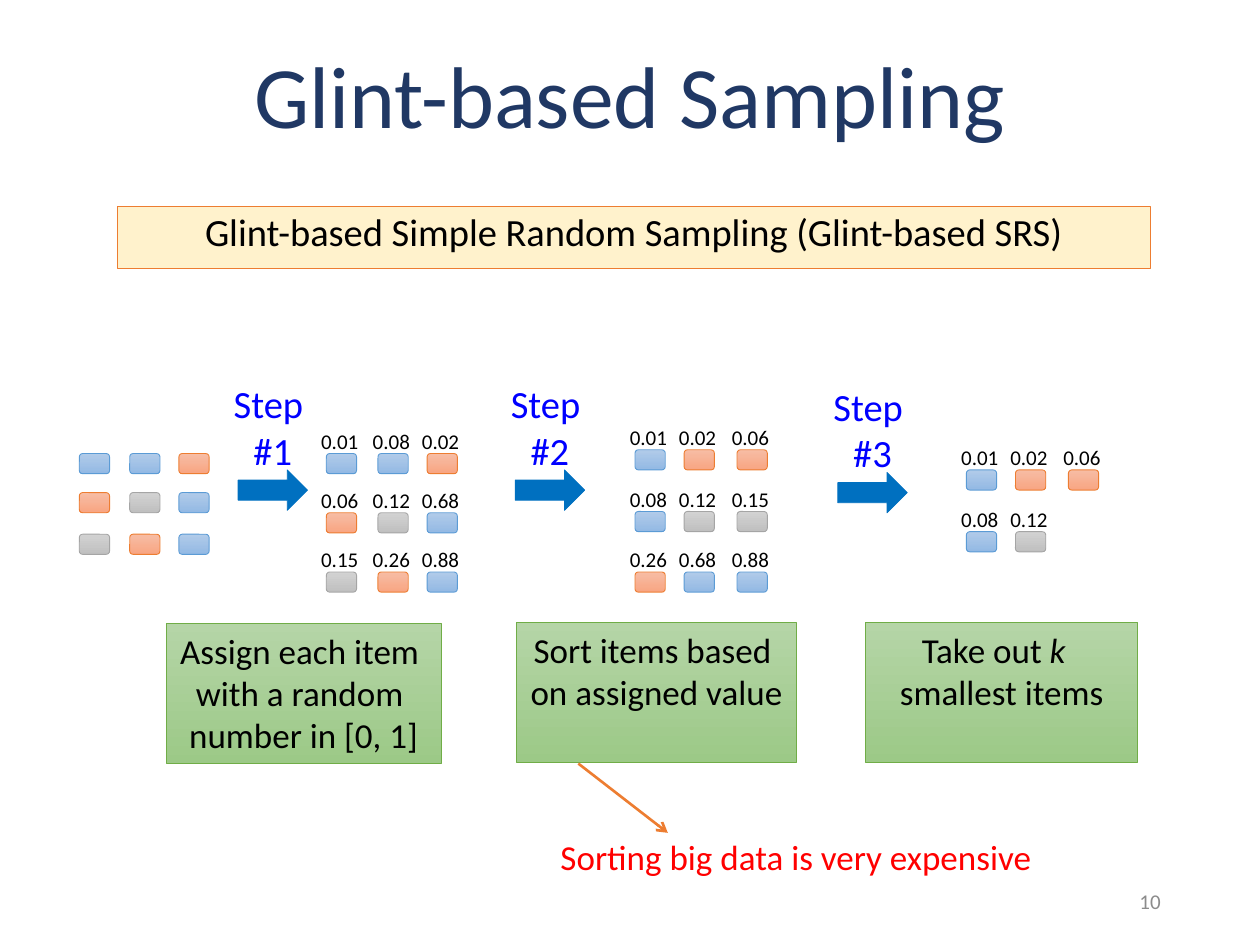
import pptx
import pptx.util
import pptx.dml.color
import pptx.enum.shapes
import pptx.enum.text
import pptx.oxml.ns
import lxml.etree

Inches, Pt = pptx.util.Inches, pptx.util.Pt
RGB = pptx.dml.color.RGBColor
SHAPE = pptx.enum.shapes.MSO_SHAPE
ALIGN = pptx.enum.text.PP_ALIGN
ANCHOR = pptx.enum.text.MSO_ANCHOR

NAVY, BLACK, RED = RGB(0x20, 0x38, 0x64), RGB(0, 0, 0), RGB(0xFF, 0, 0)
STEP_BLUE, ARROW_BLUE = RGB(0, 0, 0xFF), RGB(0, 0x70, 0xC0)
GREY_TEXT, CREAM = RGB(0x8C, 0x8C, 0x8C), RGB(0xFF, 0xF2, 0xCC)
ORANGE_LINE = RGB(0xED, 0x7D, 0x31)
BLUE = (RGB(0xB1, 0xCB, 0xE9), RGB(0x93, 0xB9, 0xE4), RGB(0x5B, 0x9B, 0xD5))
ORANGE = (RGB(0xF7, 0xBD, 0xA5), RGB(0xF8, 0xA5, 0x82), ORANGE_LINE)
GREY = (RGB(0xD2, 0xD2, 0xD2), RGB(0xC0, 0xC0, 0xC0), RGB(0xA5, 0xA5, 0xA5))
GREEN = (RGB(0xB5, 0xD5, 0xA7), RGB(0x9C, 0xC9, 0x87), RGB(0x70, 0xAD, 0x47))

TITLE = "Glint-based Sampling"
BANNER = "Glint-based Simple Random Sampling (Glint-based SRS)"
ITEMS = [
    ("0.01", BLUE), ("0.08", BLUE), ("0.02", ORANGE),
    ("0.06", ORANGE), ("0.12", GREY), ("0.68", BLUE),
    ("0.15", GREY), ("0.26", ORANGE), ("0.88", BLUE),
]
RANKED = sorted(ITEMS, key=lambda item: item[0])
K = 5

GRIDS = [
    (ITEMS, (0.63, 1.03, 1.42), (3.6, 3.91, 4.24), False),
    (ITEMS, (2.59, 3.0, 3.39), (3.6, 4.07, 4.54), True),
    (RANKED, (5.04, 5.43, 5.85), (3.57, 4.06, 4.54), True),
    (RANKED[:K], (7.67, 8.06, 8.48), (3.73, 4.22), True),
]
STEPS = [
    (1.89, 3.73, (1.32, 4.95, 2.18, 1.11),
     ["Assign each item ", "with a random ", "number in [0, 1]"]),
    (4.09, 3.73, (4.1, 4.94, 2.22, 1.11),
     ["Sort items based ", "on assigned value"]),
    (6.65, 3.75, (6.87, 4.94, 2.16, 1.11),
     [[("Take out ", False), ("k \u00a0", True)], "smallest items"]),
]


def put_text(sp, lines, size=12, color=BLACK, align=ALIGN.LEFT,
             anchor=ANCHOR.TOP, wrap=True, spacing=None):
    tf = sp.text_frame
    tf.word_wrap = wrap
    tf.vertical_anchor = anchor
    for i, line in enumerate(lines):
        p = tf.paragraphs[0] if i == 0 else tf.add_paragraph()
        p.alignment = align
        if spacing:
            p.line_spacing = spacing
        for text, italic in [(line, False)] if isinstance(line, str) else line:
            r = p.add_run()
            r.text = text
            r.font.name = "Calibri"
            r.font.size = Pt(size)
            r.font.italic = italic
            r.font.color.rgb = color


def add_text(box, lines, **fmt):
    put_text(s.shapes.add_textbox(*map(Inches, box)), lines, **fmt)


def add_box(kind, box, fill, line):
    sp = s.shapes.add_shape(kind, *map(Inches, box))
    sp.shadow.inherit = False
    if isinstance(fill, tuple) and not isinstance(fill, RGB):
        sp.fill.gradient()
        sp.fill.gradient_angle = 270
        for stop, color in zip(sp.fill.gradient_stops, fill):
            stop.color.rgb = color
    else:
        sp.fill.solid()
        sp.fill.fore_color.rgb = fill
    sp.line.color.rgb = line
    sp.line.width = Pt(0.5)
    return sp


prs = pptx.Presentation()
prs.slide_width, prs.slide_height = Inches(10), Inches(7.5)
s = prs.slides.add_slide(prs.slide_layouts[5])

title = s.shapes.title
title.left, title.top, title.width, title.height = map(Inches, (0.69, 0.3, 8.62, 0.99))
put_text(title, [TITLE], size=50, color=NAVY,
         align=ALIGN.CENTER, anchor=ANCHOR.MIDDLE, spacing=0.9)

banner = add_box(SHAPE.RECTANGLE, (0.93, 1.64, 8.2, 0.49), CREAM, ORANGE_LINE)
put_text(banner, [BANNER], size=22, align=ALIGN.CENTER, spacing=0.9)

for number, (x, y, box, lines) in enumerate(STEPS, 1):
    add_box(SHAPE.RIGHT_ARROW, (x, y, 0.55, 0.32), ARROW_BLUE, ARROW_BLUE)
    add_text((x - 0.14, y - 0.76, 0.83, 0.84), ["Step ", f"#{number}"],
             size=22, color=STEP_BLUE, align=ALIGN.CENTER, wrap=False)
    note = add_box(SHAPE.RECTANGLE, box, GREEN[:2], GREEN[2])
    put_text(note, lines, size=20, align=ALIGN.CENTER, wrap=False)

for items, columns, rows, labelled in GRIDS:
    for i, (value, colors) in enumerate(items):
        x, y = columns[i % 3], rows[i // 3]
        add_box(SHAPE.ROUNDED_RECTANGLE, (x, y, 0.24, 0.16), colors[:2], colors[2])
        if labelled:
            add_text((x - 0.14, y - 0.25, 0.55, 0.3), [value])

pointer = s.shapes.add_connector(pptx.enum.shapes.MSO_CONNECTOR.STRAIGHT,
                                 *map(Inches, (4.59, 6.06, 5.3, 6.61)))
pointer.line.color.rgb = ORANGE_LINE
pointer.line.width = Pt(1.5)
qn = pptx.oxml.ns.qn
lxml.etree.SubElement(pointer.line._get_or_add_ln(), qn("a:tailEnd"), type="arrow")
lxml.etree.SubElement(pointer._element.spPr, qn("a:effectLst"))

add_text((4.35, 6.58, 4.96, 0.44), ["Sorting big data is very expensive"],
         size=20, color=RED)
add_text((7.06, 6.95, 2.25, 0.4), ["10"], color=GREY_TEXT,
         align=ALIGN.RIGHT, anchor=ANCHOR.MIDDLE)

prs.save("out.pptx")
